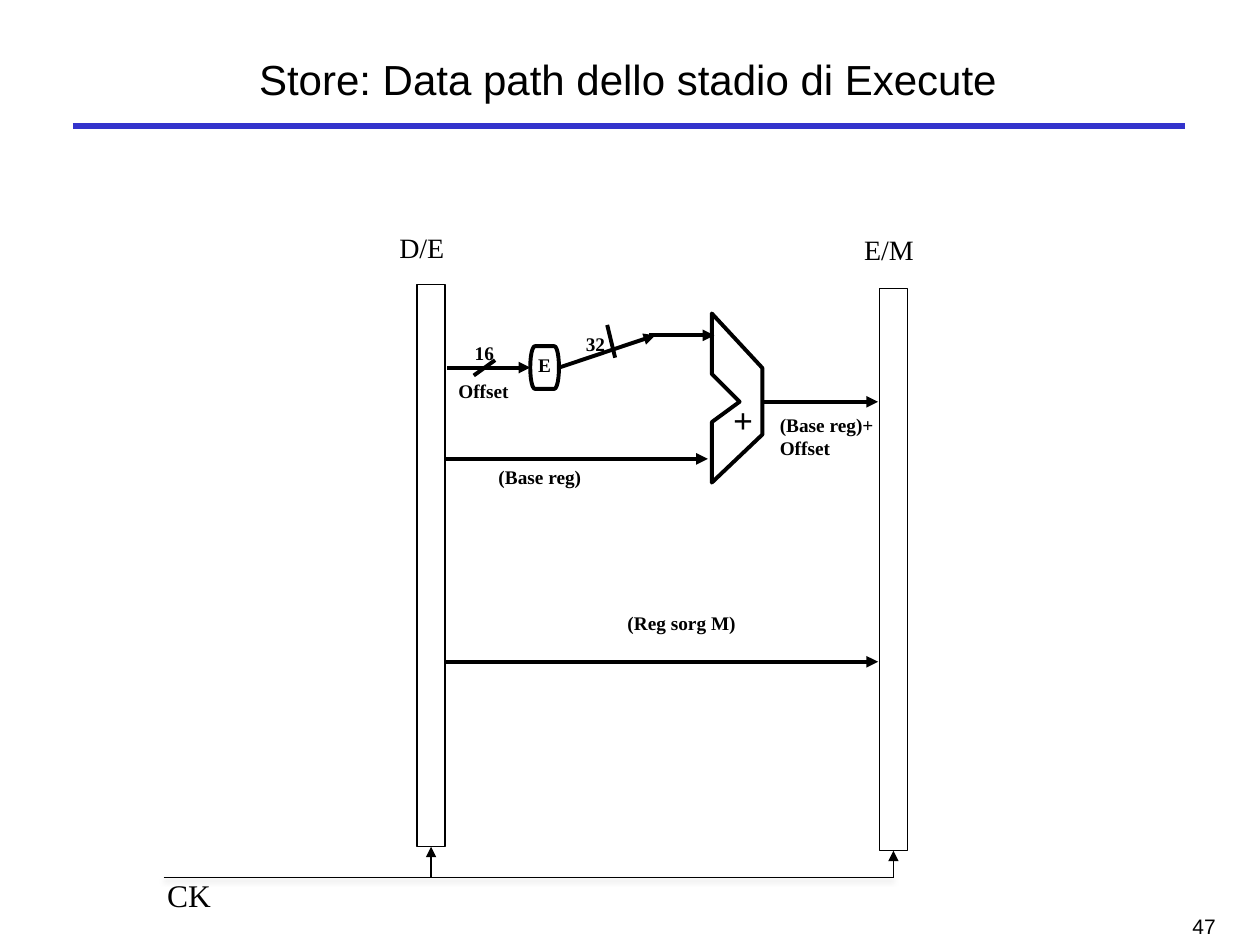
"""Build the slide on the Execute-stage data path of a store instruction."""
from pptx import Presentation
from pptx.dml.color import RGBColor
from pptx.enum.shapes import MSO_CONNECTOR, MSO_SHAPE
from pptx.enum.text import MSO_ANCHOR, PP_ALIGN
from pptx.oxml import parse_xml
from pptx.oxml.ns import nsdecls, qn
from pptx.util import Cm, Pt
from lxml.etree import SubElement

COLORS = {"ink": "000000", "paper": "FFFFFF", "rule": "3333CC"}
SERIF, SANS = "Times New Roman", "Arial"
THIN, THICK = 0.75, 2.25

TITLE = "Store: Data path dello stadio di Execute"
PAGE_NUMBER = "47"
REGISTERS = {"D/E": (8.41, 5.74), "E/M": (17.73, 5.82)}
REGISTER_SIZE = (0.56, 11.33)
EXTENDER = (10.69, 6.98, 0.58, 0.86)
ADDER = [(14.35, 6.32), (15.37, 7.42), (15.37, 8.76), (14.35, 9.73),
         (14.35, 8.51), (14.91, 8.1), (14.35, 7.54)]
ARROWS = [
    ((8.97, 13.34), (17.7, 13.34)),
    ((8.97, 9.25), (14.27, 9.25)),
    ((13.08, 6.76), (14.4, 6.76)),
    ((15.37, 8.1), (17.7, 8.1)),
]
WIDTH_MARKS = [((9.55, 7.57), (9.98, 7.26)), ((12.4, 7.21), (12.24, 6.55))]
CLOCK_Y = 17.69
LABELS = [
    ("D/E", 7.8, 4.52, 1.52, 0.94, 16, False),
    ("E/M", 17.17, 4.57, 1.65, 0.94, 16, False),
    ("CK", 3.12, 17.53, 1.5, 0.95, 18, False),
    ("+", 14.53, 7.9, 0.81, 1.12, 20, True),
    ("16", 9.32, 6.76, 0.91, 0.74, 11, True),
    ("32", 11.56, 6.58, 0.91, 0.74, 11, True),
    ("Offset", 8.99, 7.52, 1.52, 0.74, 11, True),
    ("(Base reg)", 9.8, 9.25, 2.21, 0.74, 11, True),
    ("(Base reg)+\nOffset", 15.47, 8.2, 2.46, 1.19, 11, True),
    ("(Reg sorg M)", 12.4, 12.19, 2.79, 0.74, 11, True),
]


def color(name):
    """Return a palette colour."""
    return RGBColor.from_string(COLORS[name])


def write(shape, text, size, font, bold=False, align=PP_ALIGN.LEFT):
    """Put formatted text into a shape."""
    frame = shape.text_frame
    frame.word_wrap = True
    frame.text = text
    for paragraph in frame.paragraphs:
        paragraph.alignment = align
        for run in paragraph.runs:
            run.font.size, run.font.name, run.font.bold = Pt(size), font, bold
            run.font.color.rgb = color("ink")


def add_box(slide, kind, left, top, width, height, weight):
    """Add a white outlined preset shape."""
    shape = slide.shapes.add_shape(kind, Cm(left), Cm(top), Cm(width), Cm(height))
    shape.shadow.inherit = False
    shape.fill.solid()
    shape.fill.fore_color.rgb = color("paper")
    shape.line.color.rgb = color("ink")
    shape.line.width = Pt(weight)
    return shape


def add_line(slide, start, end, weight=THICK, arrow=False, name="ink"):
    """Add a straight line without shadow, optionally with an arrowhead."""
    line = slide.shapes.add_connector(MSO_CONNECTOR.STRAIGHT, *map(Cm, start + end))
    line.line.color.rgb = color(name)
    line.line.width = Pt(weight)
    if arrow:
        SubElement(line.line._get_or_add_ln(), qn("a:tailEnd"), type="triangle")
    SubElement(line._element.spPr, qn("a:effectLst"))
    return line


def add_adder(slide):
    """Draw the notched adder outline."""
    points = [(Cm(x), Cm(y)) for x, y in ADDER]
    builder = slide.shapes.build_freeform(*points[0], scale=1.0)
    builder.add_line_segments(points[1:], close=True)
    adder = builder.convert_to_shape()
    adder.shadow.inherit = False
    adder.fill.background()
    adder.line.color.rgb = color("ink")
    adder.line.width = Pt(THICK)


def add_clock(slide, registers):
    """Draw the clock line and its arrow into each register."""
    centers = [left + REGISTER_SIZE[0] / 2 for left, _ in REGISTERS.values()]
    clock = add_line(slide, (3.3, CLOCK_Y), (centers[-1], CLOCK_Y), THIN)
    clock._element.spPr.find(qn("a:effectLst")).append(parse_xml(
        f'<a:outerShdw {nsdecls("a")} blurRad="39370" dist="22860" dir="5400000">'
        f'<a:srgbClr val="{COLORS["ink"]}"><a:alpha val="35000"/></a:srgbClr>'
        '</a:outerShdw>'))
    for center, register in zip(centers, registers):
        arrow = add_line(slide, (center, CLOCK_Y), (center, 17.1), THIN, True)
        arrow.end_connect(register, 2)


def add_extender(slide):
    """Draw the sign extender with its input and output arrows."""
    left, top, width, height = EXTENDER
    middle = top + height / 2
    extender = add_box(slide, MSO_SHAPE.FLOWCHART_TERMINATOR, *EXTENDER, THICK)
    frame = extender.text_frame
    frame.margin_left = frame.margin_right = frame.margin_top = 0
    frame.margin_bottom = Cm(0.1)
    frame.vertical_anchor = MSO_ANCHOR.MIDDLE
    write(extender, "E", 11, SERIF, True, PP_ALIGN.CENTER)
    source = add_line(slide, (9.02, middle), (left, middle), arrow=True)
    source.end_connect(extender, 1)
    result = add_line(slide, (left + width, middle), (13.21, 6.76), arrow=True)
    result.begin_connect(extender, 3)


def main():
    """Create and save the presentation."""
    presentation = Presentation()
    presentation.slide_width, presentation.slide_height = Cm(25.4), Cm(19.05)
    slide = presentation.slides.add_slide(presentation.slide_layouts[5])

    add_line(slide, (1.47, 2.54), (23.88, 2.54), 3.75, name="rule")
    title = slide.shapes.title
    title.left, title.top, title.width, title.height = map(Cm, (1.55, 0.64, 22.22, 1.9))
    title.text_frame.vertical_anchor = MSO_ANCHOR.MIDDLE
    write(title, TITLE, 24, SANS, align=PP_ALIGN.CENTER)

    number = slide.shapes.add_textbox(Cm(19.48), Cm(17.78), Cm(5.28), Cm(1.27))
    number.text_frame.vertical_anchor = MSO_ANCHOR.BOTTOM
    write(number, PAGE_NUMBER, 12, SANS, align=PP_ALIGN.RIGHT)

    registers = [add_box(slide, MSO_SHAPE.RECTANGLE, *corner, *REGISTER_SIZE, THIN)
                 for corner in REGISTERS.values()]
    add_clock(slide, registers)
    add_extender(slide)
    add_adder(slide)
    for start, end in ARROWS:
        add_line(slide, start, end, arrow=True)
    for start, end in WIDTH_MARKS:
        add_line(slide, start, end)
    for text, left, top, width, height, size, bold in LABELS:
        label = slide.shapes.add_textbox(Cm(left), Cm(top), Cm(width), Cm(height))
        write(label, text, size, SERIF, bold)

    presentation.save("out.pptx")


if __name__ == "__main__":
    main()
